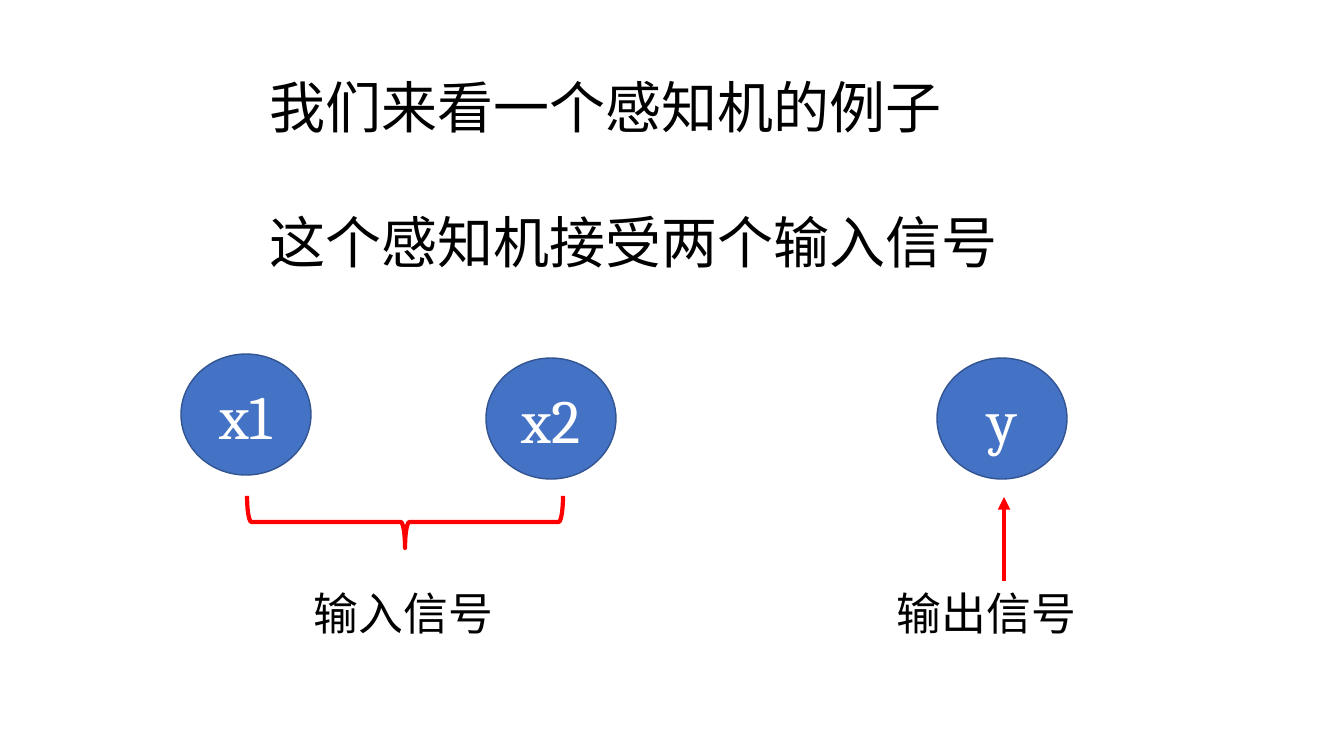
"""Build a slide that introduces a perceptron with two inputs and one output."""
from lxml import etree
from pptx import Presentation
from pptx.dml.color import RGBColor
from pptx.enum.shapes import MSO_CONNECTOR, MSO_SHAPE
from pptx.enum.text import MSO_ANCHOR, MSO_AUTO_SIZE, PP_ALIGN
from pptx.oxml.ns import qn
from pptx.util import Pt

INTRO = ["我们来看一个感知机的例子", "这个感知机接受两个输入信号"]
INTRO_BOX = (260, 68, 884, 214)
NODES = [("x1", 181, 354), ("x2", 486, 358), ("y", 937, 358)]
NODE_W, NODE_H = 130, 121
LABELS = [("输入信号", 304), ("输出信号", 887)]
LABEL_TOP, LABEL_W, LABEL_H = 581, 201, 65
BRACE_BOX = (379, 364, 52, 316)
ARROW_X, ARROW_TIP = 1004, 497

CJK_FONT, NODE_FONT = "Noto Sans CJK SC", "Cambria"
BLACK = RGBColor(0x00, 0x00, 0x00)
WHITE = RGBColor(0xFF, 0xFF, 0xFF)
BLUE = RGBColor(0x44, 0x72, 0xC4)
DARK_BLUE = RGBColor(0x32, 0x54, 0x91)
RED = RGBColor(0xFF, 0x00, 0x00)

ELLIPSE, BRACE = MSO_SHAPE.OVAL, MSO_SHAPE.RIGHT_BRACE
STRAIGHT = MSO_CONNECTOR.STRAIGHT
MIDDLE, CENTER = MSO_ANCHOR.MIDDLE, PP_ALIGN.CENTER
GROW = MSO_AUTO_SIZE.SHAPE_TO_FIT_TEXT
EMU_PER_PX = 9071


def px(*lengths):
    return [length * EMU_PER_PX for length in lengths]


def style_run(r, font, size, color):
    r.font.name, r.font.size = font, Pt(size)
    r.font.color.rgb = color
    etree.SubElement(r.font._element, qn("a:ea"), typeface=font)


def style_line(line, color, width):
    line.color.rgb, line.width = color, Pt(width)


def add_text(s, lines, box, size, gap=0):
    tf = s.shapes.add_textbox(*px(*box)).text_frame
    tf.word_wrap, tf.auto_size = True, GROW
    tf.text = "\n".join(lines)
    for p in tf.paragraphs:
        style_run(p.runs[0], CJK_FONT, size, BLACK)
    for p in tf.paragraphs[1:]:
        p.space_before = Pt(gap)


def add_node(s, name, left, top):
    sp = s.shapes.add_shape(ELLIPSE, *px(left, top, NODE_W, NODE_H))
    sp.shadow.inherit = False
    sp.fill.solid()
    sp.fill.fore_color.rgb = BLUE
    style_line(sp.line, DARK_BLUE, 1)
    tf = sp.text_frame
    tf.text, tf.vertical_anchor = name, MIDDLE
    p = tf.paragraphs[0]
    p.alignment = CENTER
    style_run(p.runs[0], NODE_FONT, 44, WHITE)


def add_brace(s):
    sp = s.shapes.add_shape(BRACE, *px(*BRACE_BOX))
    sp.rotation = 90
    sp.shadow.inherit = False
    sp.fill.background()
    style_line(sp.line, RED, 3)


def add_arrow(s):
    arrow = s.shapes.add_connector(
        STRAIGHT, *px(ARROW_X, LABEL_TOP, ARROW_X, ARROW_TIP))
    style_line(arrow.line, RED, 3)
    etree.SubElement(arrow.line._get_or_add_ln(), qn("a:tailEnd"), type="triangle")
    etree.SubElement(arrow._element.spPr, qn("a:effectLst"))


def main():
    prs = Presentation()
    prs.slide_width, prs.slide_height = px(1344, 756)
    s = prs.slides.add_slide(prs.slide_layouts[6])
    add_text(s, INTRO, INTRO_BOX, 40, gap=48)
    for node in NODES:
        add_node(s, *node)
    add_brace(s)
    for label, left in LABELS:
        add_text(s, [label], (left, LABEL_TOP, LABEL_W, LABEL_H), 32)
    add_arrow(s)
    prs.save("out.pptx")


if __name__ == "__main__":
    main()
